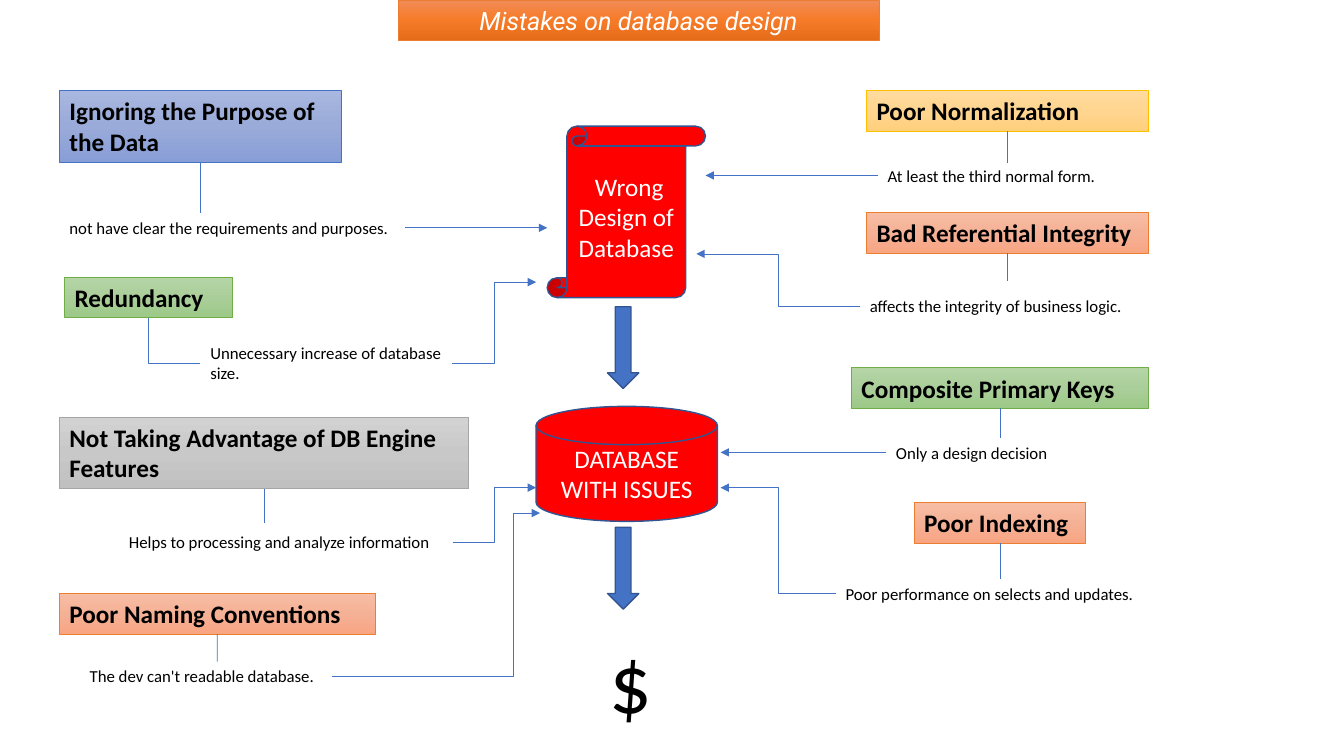
from copy import deepcopy
from pptx import Presentation, util as u
from pptx.dml.color import RGBColor
from pptx.enum import shapes, text
from pptx.oxml.ns import qn
from pptx.oxml.xmlchemy import OxmlElement

KIND = shapes.MSO_SHAPE
WIRE = shapes.MSO_CONNECTOR
MID = text.MSO_ANCHOR.MIDDLE
TOP = text.MSO_ANCHOR.TOP
LEFT = text.PP_ALIGN.LEFT
BLUE = "4472C4"
EDGE = "325491"
# Three gradient stops, then the outline
TONES = {
    "flame": ("F18C57", "F67B28", "E56C19", "ED7D31"),
    "blue": ("A8B7DF", "9AABD9", "889ED7", BLUE),
    "gold": ("FFDB9E", "FFD590", "FFD07C", "FFC000"),
    "green": ("B5D5A7", "AACE9A", "9CC987", "70AD47"),
    "peach": ("F7BDA5", "F5B196", "F8A582", "ED7D31"),
    "gray": ("D2D2D2", "C8C8C8", "C0C0C0", "A5A5A5"),
}
ROW, TALL, LINE = 1.02, 1.8, 0.76

# Card box, title, tone, note box, note, stem length (None: corner), arrow tip
LEFTS = [
    ((1.5, 2.29, 7.11, TALL), "Ignoring the Purpose of the Data", "blue",
     (1.5, 5.36, 8.71, LINE), "not have clear the requirements and purposes.",
     1.27, (13.79, 5.74)),
    ((1.63, 6.99, 4.24, ROW), "Redundancy", "green",
     (5.05, 8.51, 7.11, 1.27), "Unnecessary increase of database size.",
     None, (13.51, 7.11)),
    ((1.5, 10.52, 10.31, TALL), "Not Taking Advantage of DB Engine Features", "gray",
     (3, 13.28, 8.41, LINE), "Helps to processing and analyze information",
     0.86, (13.51, 12.29)),
    ((1.5, 14.96, 7.95, ROW), "Poor Naming Conventions", "peach",
     (2.01, 16.66, 6.35, LINE), "The dev can't readable database.",
     0.69, (13.61, 12.93)),
]
RIGHTS = [
    ((21.84, 2.29, 7.11, ROW), "Poor Normalization", "gold",
     (22.12, 4.04, 5.77, LINE), "At least the third normal form.",
     0.79, (17.78, 4.42)),
    ((21.84, 5.36, 7.11, ROW), "Bad Referential Integrity", "peach",
     (21.67, 7.34, 7.06, LINE), "affects the integrity of business logic.",
     0.71, (17.55, 6.4)),
    ((21.46, 9.27, 7.49, ROW), "Composite Primary Keys", "green",
     (22.33, 11.02, 4.8, LINE), "Only a design decision",
     0.74, (18.16, 11.4)),
    ((23.04, 12.67, 4.32, ROW), "Poor Indexing", "peach",
     (21.06, 14.58, 7.9, LINE), "Poor performance on selects and updates.",
     0.89, (18.16, 12.29)),
]


def rgb(code):
    return RGBColor.from_string(code)


def cms(vals):
    return [u.Cm(v) for v in vals]


def write(shape, words, size, tint="000000", face="Calibri", bold=False,
          slant=False, align=LEFT, anchor=TOP):
    frame = shape.text_frame
    frame.text = words
    frame.word_wrap = True
    frame.vertical_anchor = anchor
    for para in frame.paragraphs:
        para.alignment = align
        para.line_spacing = 1.0
        for run in para.runs:
            font = run.font
            font.size, font.name = u.Pt(size), face
            font.bold, font.italic = bold, slant
            font.color.rgb = rgb(tint)


def shade(shape, tone):
    """Fill from top to bottom with the three stops of a tone."""
    fill = shape.fill
    fill.gradient()
    fill.gradient_angle = 270
    first = shape._element.spPr.find(qn("a:gradFill")).gsLst[0]
    first.addnext(deepcopy(first))
    *stops, edge = TONES[tone]
    for stop, tint, spot in zip(fill.gradient_stops, stops, (0, 0.5, 1)):
        stop.color.rgb = rgb(tint)
        stop.position = spot
    outline(shape, edge, 0.5)


def outline(shape, tint, width):
    shape.line.color.rgb = rgb(tint)
    shape.line.width = u.Pt(width)


def solid(slide, kind, box, tint):
    shape = slide.shapes.add_shape(kind, *cms(box))
    shape.shadow.inherit = False
    shape.fill.solid()
    shape.fill.fore_color.rgb = rgb(tint)
    outline(shape, EDGE, 1)
    return shape


def label(slide, box, words, size):
    shape = slide.shapes.add_textbox(*cms(box))
    write(shape, words, size)
    return shape


def wire(slide, start, end, kind=WIRE.STRAIGHT, arrow=False):
    line = slide.shapes.add_connector(kind, *cms(start + end))
    outline(line, BLUE, 0.5)
    if arrow:
        head = OxmlElement("a:tailEnd")
        head.set("type", "triangle")
        line.line._get_or_add_ln().append(head)
    line._element.spPr.append(OxmlElement("a:effectLst"))
    return line


def bend(line, share):
    """Put the elbow's upright at a share of the connector's width."""
    guide = OxmlElement("a:gd")
    guide.set("name", "adj1")
    guide.set("fmla", f"val {round(share * 100000)}")
    line._element.spPr.prstGeom.find(qn("a:avLst")).append(guide)


def topic(slide, box, title, tone, area, note, drop, tip, side):
    """Card, its note, the stem between them and the arrow to the middle."""
    card = slide.shapes.add_shape(KIND.RECTANGLE, *cms(box))
    card.shadow.inherit = False
    shade(card, tone)
    write(card, title, 18, bold=True)
    body = label(slide, area, note, 12)

    x, y, wide, high = box
    foot = (x + wide / 2, y + high)
    left, top, span, deep = area
    mid = top + deep / 2
    if drop is None:
        stem = wire(slide, (left, mid), foot, WIRE.ELBOW)
        stem._element.spPr.prstGeom.set("prst", "bentConnector2")
        stem.begin_connect(body, 1)
        stem.end_connect(card, 2)
        start = (11.4, mid)
    else:
        stem = wire(slide, foot, (foot[0], foot[1] + drop))
        stem.begin_connect(card, 2)
        start = (left + span if side == 3 else left, mid)

    flat = abs(mid - tip[1]) < 0.05
    arrow = wire(slide, start, tip, WIRE.STRAIGHT if flat else WIRE.ELBOW, True)
    if drop is not None:
        arrow.begin_connect(body, side)
    return arrow


def banner(slide, box):
    title = slide.shapes.title
    title.left, title.top, title.width, title.height = cms(box)
    shade(title, "flame")
    write(title, "Mistakes on database design", 18, "FFFFFF", "Roboto",
          slant=True, align=text.PP_ALIGN.CENTER, anchor=MID)
    title.text_frame.auto_size = text.MSO_AUTO_SIZE.NONE


def centre(slide, x, y):
    """Flow from wrong design to faulty database to cost."""
    parts = [
        (KIND.VERTICAL_SCROLL, (x + 0.28, y, 3.99, 4.32), " Wrong Design of Database"),
        (KIND.FLOWCHART_MAGNETIC_DISK, (x, y + 7.06, 4.57, 2.9), "DATABASE\nWITH ISSUES"),
    ]
    for kind, area, words in parts:
        shape = solid(slide, kind, area, "FF0000")
        write(shape, words, 18, "FFFFFF", align=text.PP_ALIGN.CENTER, anchor=MID)
    for drop in (4.55, 10.11):
        solid(slide, KIND.DOWN_ARROW, (x + 1.8, y + drop, 0.79, 2.06), BLUE)
    label(slide, (x + 1.6, y + 12.57, 1.68, 2.82), "$", 60)


def main():
    deck = Presentation()
    deck.slide_width, deck.slide_height = cms((33.87, 19.05))
    slide = deck.slides.add_slide(deck.slide_layouts[5])
    banner(slide, (10.03, 0, 12.12, ROW))
    centre(slide, 13.51, 3.18)
    for item in LEFTS:
        arrow = topic(slide, *item, side=3)
    bend(arrow, 0.87)
    for item in RIGHTS:
        topic(slide, *item, side=1)
    deck.save("out.pptx")


if __name__ == "__main__":
    main()
